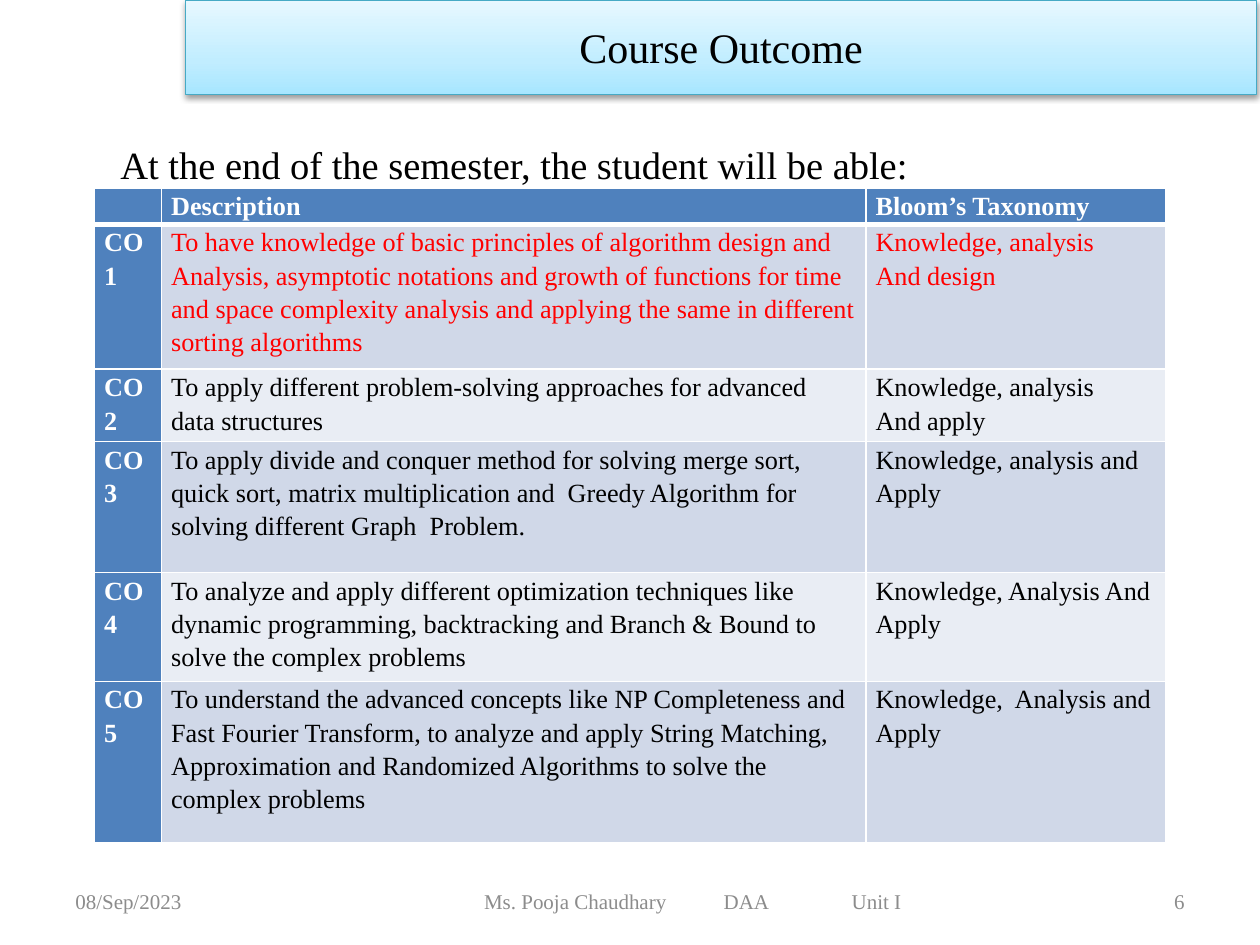
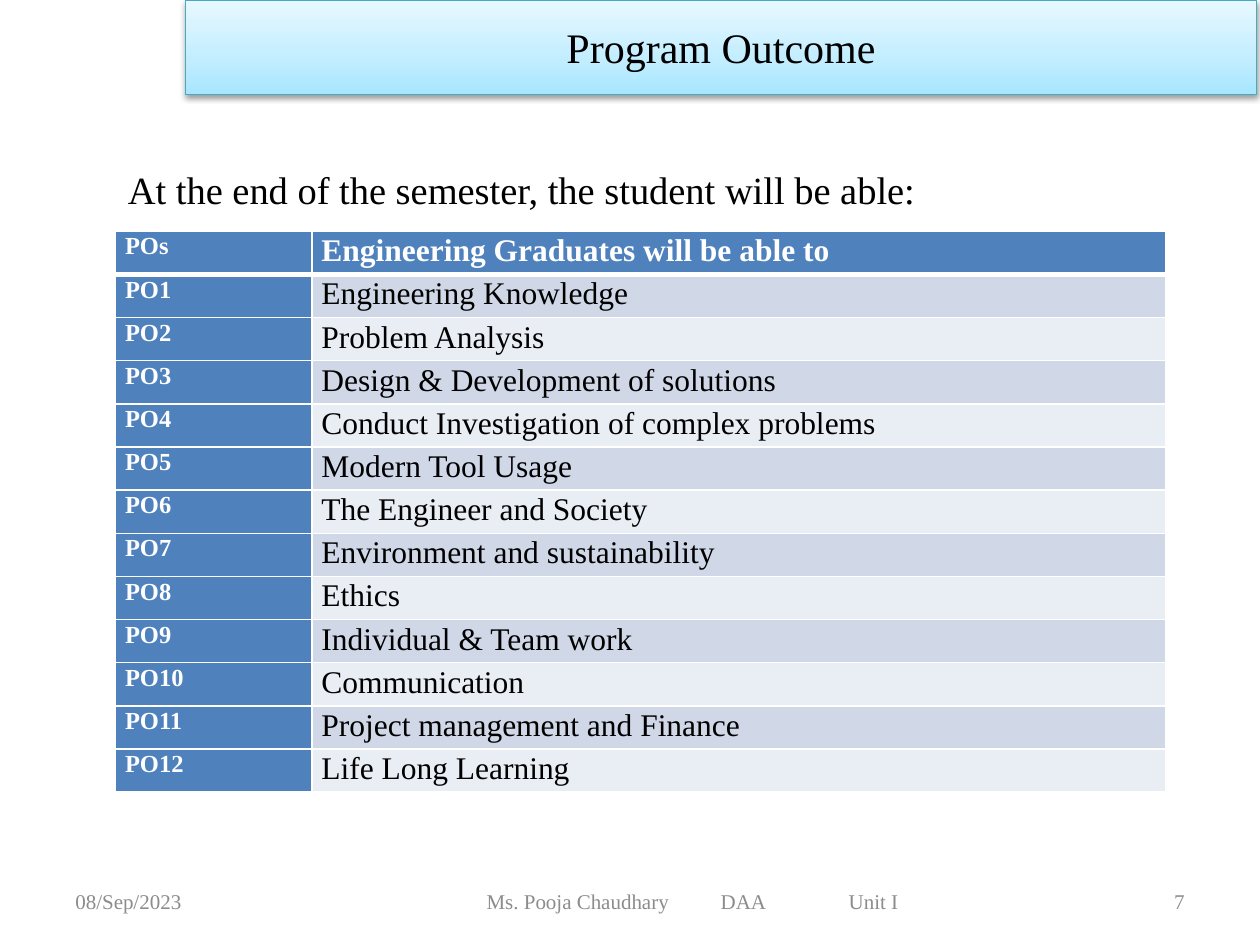
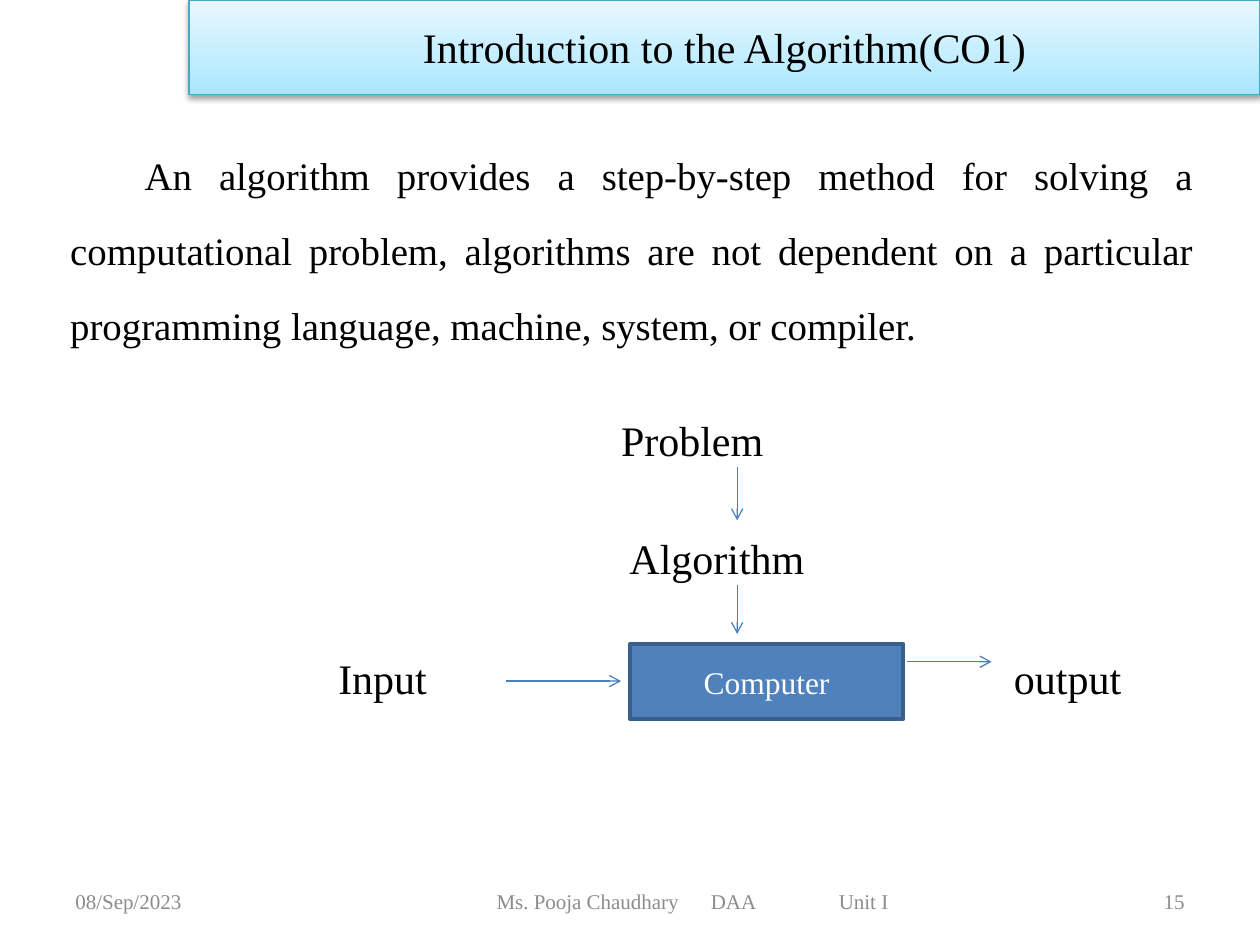
from lxml import etree
from pptx import Presentation
from pptx import util as u
from pptx.dml.color import RGBColor
from pptx.enum import shapes, text
from pptx.oxml import parse_xml
from pptx.oxml.ns import nsdecls, qn

# ---- Shared look (lengths in cm, text sizes in points) ----
FONT = "Times New Roman"
COLORS = {
    "ink": "000000", "white": "FFFFFF", "alert": "FF0000", "muted": "8C8C8C",
    "blue": "4F81BD", "band_dark": "D0D8E8", "band_light": "E9EDF4",
    "banner_low": "A7E6FF", "banner_mid": "C1EDFF", "banner_high": "E7F8FF",
    "banner_line": "46AAC5", "box_line": "3A5F8C", "arrow": "4B7EBC",
}
BANNER_WIDTH, BANNER_HEIGHT = 21.59, 1.9
FOOTER_TOP, FOOTER_HEIGHT = 17.65, 1.02
FOOTER_UNIT_GAP = 2.58
LEFT, CENTER, RIGHT, JUSTIFY = (
    text.PP_ALIGN.LEFT, text.PP_ALIGN.CENTER, text.PP_ALIGN.RIGHT, text.PP_ALIGN.JUSTIFY)

# ---- Content ----
DATE = "08/Sep/2023"
FOOTER_PARTS = ("Ms. Pooja Chaudhary", "DAA", "Unit I")
INTRO = "At the end of the semester, the student will be able:"

COURSE_OUTCOMES = [
    ("", "Description", "Bloom’s Taxonomy"),
    ("CO1", "To have knowledge of basic principles of algorithm design and Analysis, "
            "asymptotic notations and growth of functions for time and space complexity "
            "analysis and applying the same in different sorting algorithms",
     "Knowledge, analysis\nAnd design"),
    ("CO2", "To apply different problem-solving approaches for advanced data structures",
     "Knowledge, analysis\nAnd apply"),
    ("CO3", "To apply divide and conquer method for solving merge sort, quick sort, matrix "
            "multiplication and  Greedy Algorithm for solving different Graph  Problem.",
     "Knowledge, analysis and Apply"),
    ("CO4", "To analyze and apply different optimization techniques like dynamic programming, "
            "backtracking and Branch & Bound to solve the complex problems",
     "Knowledge, Analysis And Apply"),
    ("CO5", "To understand the advanced concepts like NP Completeness and Fast Fourier "
            "Transform, to analyze and apply String Matching, Approximation and Randomized "
            "Algorithms to solve the complex problems",
     "Knowledge,  Analysis and Apply"),
]
PROGRAM_OUTCOMES = [
    "Engineering Knowledge", "Problem Analysis", "Design & Development of solutions",
    "Conduct Investigation of complex problems", "Modern Tool Usage",
    "The Engineer and Society", "Environment and sustainability", "Ethics",
    "Individual & Team work", "Communication", "Project management and Finance",
    "Life Long Learning",
]
ALGORITHM_TEXT = (
    "An algorithm provides a step-by-step method for solving a computational problem, "
    "algorithms are not dependent on a particular programming language, machine, system, "
    "or compiler.")
DIAGRAM_LABELS = [  # text, left, middle
    ("Problem", 12.52, 8.87), ("Algorithm", 12.69, 11.25),
    ("Input", 6.82, 13.66), ("output", 20.44, 13.66),
]
DIAGRAM_ARROWS = [  # from x, from y, to x, to y
    (14.86, 9.42, 14.86, 10.49), (14.86, 11.8, 14.86, 12.78),
    (10.21, 13.73, 12.52, 13.73), (18.29, 13.34, 19.99, 13.34),
]


# ---- Helpers ----
def rgb(name):
    return RGBColor.from_string(COLORS[name])


def cm(*lengths):
    return [u.Cm(length) for length in lengths]


def place(shape, *bounds):
    shape.left, shape.top, shape.width, shape.height = cm(*bounds)


def write(frame, content, size, color="ink", bold=False, align=LEFT, spacing=None, after=None):
    """Fill a text frame, one paragraph per line of content."""
    for index, line in enumerate(content.split("\n")):
        para = frame.add_paragraph() if index else frame.paragraphs[0]
        para.alignment = align
        if spacing:
            para.line_spacing = spacing
        if after:
            para.space_after = u.Pt(after)
        if not line:
            para._p.get_or_add_endParaRPr().set("sz", str(size * 100))
            continue
        span = para.add_run()
        span.text = line
        span.font.name, span.font.size, span.font.bold = FONT, u.Pt(size), bold
        span.font.color.rgb = rgb(color)


def add_text(page, content, bounds, anchor=text.MSO_ANCHOR.MIDDLE, **style):
    box = page.shapes.add_textbox(*cm(*bounds))
    box.text_frame.word_wrap = True
    box.text_frame.vertical_anchor = anchor
    write(box.text_frame, content, **style)
    return box


def add_banner(page, title, left):
    banner = page.shapes.title
    place(banner, left, 0, BANNER_WIDTH, BANNER_HEIGHT)
    stops = "".join(
        f'<a:gs pos="{position}"><a:srgbClr val="{COLORS[name]}"/></a:gs>'
        for position, name in ((0, "banner_low"), (35000, "banner_mid"), (100000, "banner_high")))
    properties = banner._element.spPr
    properties.append(parse_xml(
        f'<a:gradFill {nsdecls("a")} rotWithShape="1"><a:gsLst>{stops}</a:gsLst>'
        '<a:lin ang="16200000" scaled="1"/></a:gradFill>'))
    banner.line.color.rgb = rgb("banner_line")
    banner.line.width = u.Pt(0.75)
    properties.append(parse_xml(
        f'<a:effectLst {nsdecls("a")}><a:outerShdw blurRad="40000" dist="20000" dir="5400000" '
        f'rotWithShape="0"><a:srgbClr val="{COLORS["ink"]}"><a:alpha val="38000"/></a:srgbClr>'
        '</a:outerShdw></a:effectLst>'))
    frame = banner.text_frame
    frame.auto_size = text.MSO_AUTO_SIZE.NONE
    frame.vertical_anchor = text.MSO_ANCHOR.MIDDLE
    write(frame, title, size=24, align=CENTER)


def add_footer(page, number, start, subject_stop):
    style = {"size": 12, "color": "muted"}
    add_text(page, DATE, (1.27, FOOTER_TOP, 5.93, FOOTER_HEIGHT), **style)
    author = add_text(page, "\t".join(FOOTER_PARTS),
                      (6.99, FOOTER_TOP, 13.97, FOOTER_HEIGHT), **style)
    author.text_frame.margin_left = u.Cm(start)
    tabs = etree.SubElement(author.text_frame.paragraphs[0]._p.get_or_add_pPr(), qn("a:tabLst"))
    for stop in (subject_stop, subject_stop + FOOTER_UNIT_GAP):
        etree.SubElement(tabs, qn("a:tab"), pos=str(int(u.Cm(stop))), algn="l")
    add_text(page, str(number), (18.2, FOOTER_TOP, 5.93, FOOTER_HEIGHT), align=RIGHT, **style)


def add_page(deck, layout, title, number, banner_left, footer_start, subject_stop):
    page = deck.slides.add_slide(deck.slide_layouts[layout])
    add_banner(page, title, banner_left)
    add_footer(page, number, footer_start, subject_stop)
    return page


def add_intro(page, left, top):
    add_text(page, INTRO, (left, top, BANNER_WIDTH, 1.27), anchor=text.MSO_ANCHOR.TOP,
             size=22, spacing=1.15, after=10)


def set_borders(cell, header):
    properties = cell._tc.get_or_add_tcPr()
    for index, side in enumerate(("lnL", "lnR", "lnT", "lnB")):
        width = u.Pt(3 if header and side == "lnB" else 1)
        properties.insert(index, parse_xml(
            f'<a:{side} {nsdecls("a")} w="{int(width)}"><a:solidFill>'
            f'<a:srgbClr val="{COLORS["white"]}"/></a:solidFill></a:{side}>'))


def add_grid(page, rows, left, top, widths, heights, sizes, spacing, alert_row=None):
    """Table with a blue header row and column, and alternating bands."""
    frame = page.shapes.add_table(len(rows), len(widths),
                                  *cm(left, top, sum(widths), sum(heights)))
    table = frame.table
    for column, width in zip(table.columns, widths):
        column.width = u.Cm(width)
    for r, (values, height) in enumerate(zip(rows, heights)):
        table.rows[r].height = u.Cm(height)
        for c, value in enumerate(values):
            cell = table.cell(r, c)
            heading = r == 0 or c == 0
            cell.margin_left = cell.margin_right = u.Cm(0.19)
            cell.margin_top = cell.margin_bottom = 0
            cell.fill.solid()
            band = "band_dark" if r % 2 else "band_light"
            cell.fill.fore_color.rgb = rgb("blue" if heading else band)
            set_borders(cell, header=r == 0)
            color = "white" if heading else "alert" if r == alert_row else "ink"
            write(cell.text_frame, value, size=sizes[c], color=color, bold=heading,
                  spacing=spacing)


def add_arrow(page, *ends):
    arrow = page.shapes.add_connector(shapes.MSO_CONNECTOR.STRAIGHT, *cm(*ends))
    arrow.line.color.rgb = rgb("arrow")
    arrow.line.width = u.Pt(0.75)
    etree.SubElement(arrow.line._get_or_add_ln(), qn("a:tailEnd"), type="arrow")
    etree.SubElement(arrow._element.spPr, qn("a:effectLst"))


# ---- Slides ----
def build_course_outcome(deck):
    page = add_page(deck, 5, "Course Outcome", 6, 3.74, 2.77, 4.83)
    add_grid(page, COURSE_OUTCOMES, 1.91, 3.79, widths=(1.35, 14.2, 6.03),
             heights=(0.71, 2.92, 1.46, 2.64, 2.18, 3.25), sizes=(15, 15, 15),
             spacing=1.15, alert_row=1)
    add_intro(page, 2.18, 2.58)


def build_program_outcome(deck):
    page = add_page(deck, 5, "Program Outcome", 7, 3.74, 2.82, 4.72)
    rows = [("POs", "Engineering Graduates will be able to")]
    rows += [(f"PO{n}", outcome) for n, outcome in enumerate(PROGRAM_OUTCOMES, 1)]
    add_intro(page, 2.33, 3.08)
    add_grid(page, rows, 2.33, 4.66, widths=(3.96, 17.2), heights=[0.87] * len(rows),
             sizes=(14, 18), spacing=1.07)


def build_algorithm(deck):
    page = add_page(deck, 1, "Introduction to the Algorithm(CO1)", 15, 3.81, 3.02, 4.32)

    # Definition
    body = page.placeholders[1]
    place(body, 0.2, 1.9, 24.13, 5.8)
    frame = body.text_frame
    frame.auto_size = text.MSO_AUTO_SIZE.NONE
    frame.margin_top = u.Cm(0.6)
    write(frame, ALGORITHM_TEXT, size=22.2, align=JUSTIFY, spacing=1.6)
    para = frame.paragraphs[0]
    para.space_before = u.Pt(0)
    properties = para._p.get_or_add_pPr()
    properties.set("marL", str(int(u.Cm(0.96))))
    properties.set("indent", str(int(u.Cm(1.5))))
    etree.SubElement(properties, qn("a:buNone"))

    # Diagram
    for label, left, middle in DIAGRAM_LABELS:
        box = add_text(page, label, (left, middle - 0.6, 4.2, 1.2), size=24)
        box.text_frame.margin_left = 0
    computer = page.shapes.add_shape(shapes.MSO_SHAPE.RECTANGLE, *cm(12.7, 12.98, 5.51, 1.52))
    computer.shadow.inherit = False
    computer.fill.solid()
    computer.fill.fore_color.rgb = rgb("blue")
    computer.line.color.rgb = rgb("box_line")
    computer.line.width = u.Pt(2)
    computer.text_frame.vertical_anchor = text.MSO_ANCHOR.MIDDLE
    write(computer.text_frame, "Computer", size=18, color="white", align=CENTER)
    for ends in DIAGRAM_ARROWS:
        add_arrow(page, *ends)


def main():
    deck = Presentation()
    deck.slide_width, deck.slide_height = cm(25.4, 19.05)
    build_course_outcome(deck)
    build_program_outcome(deck)
    build_algorithm(deck)
    deck.save("out.pptx")


if __name__ == "__main__":
    main()
